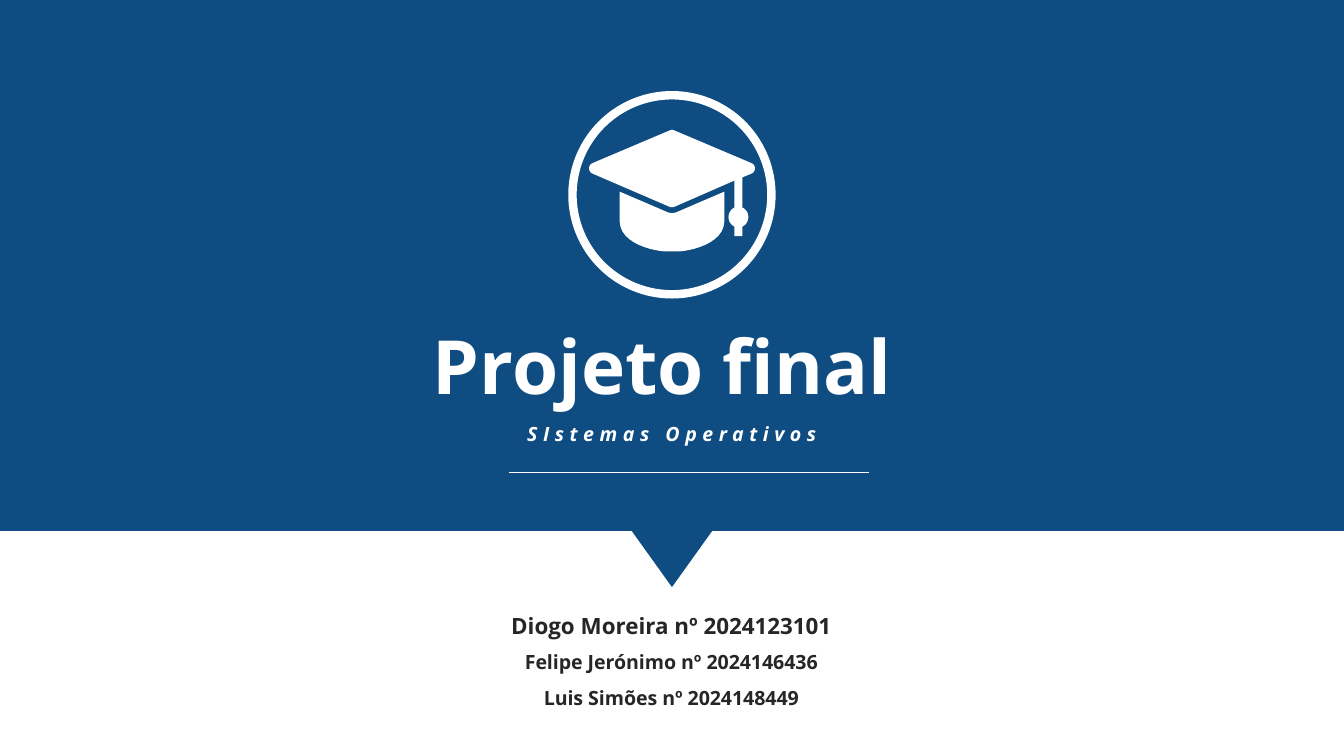
from dataclasses import dataclass

from lxml import etree
from pptx import Presentation
from pptx.dml.color import RGBColor
from pptx.enum.shapes import MSO_CONNECTOR, MSO_SHAPE
from pptx.enum.text import MSO_ANCHOR, MSO_AUTO_SIZE, PP_ALIGN
from pptx.oxml.ns import qn
from pptx.util import Cm, Pt

OVAL = MSO_SHAPE.OVAL
STRAIGHT = MSO_CONNECTOR.STRAIGHT
CENTER = PP_ALIGN.CENTER
TOP = MSO_ANCHOR.TOP
GROW = MSO_AUTO_SIZE.SHAPE_TO_FIT_TEXT


@dataclass(frozen=True)
class Theme:
    font: str = "Open Sans"
    blue: RGBColor = RGBColor(0x0F, 0x4C, 0x82)
    white: RGBColor = RGBColor(0xFF, 0xFF, 0xFF)
    dark: RGBColor = RGBColor(0x26, 0x26, 0x26)
    title: float = 40
    lead: float = 12
    small: float = 10.5


def bezier(p0, p1, p2, p3, steps=12):
    """Points along a cubic curve, without its start."""
    for i in range(1, steps + 1):
        t = i / steps
        u = 1 - t
        yield tuple(u**3 * a + 3 * u * u * t * b + 3 * u * t * t * c + t**3 * d
                    for a, b, c, d in zip(p0, p1, p2, p3))


def trace(start, *steps):
    """Outline points: a step is one point (line) or three (curve)."""
    points = [start]
    for step in steps:
        points += bezier(points[-1], *step) if len(step) == 3 else step
    return points


class Painter:
    def __init__(self, slide, theme):
        self.s, self.theme = slide, theme

    def text(self, box, lines, color, inset=0.05, wrap=True, spacing=None,
             italic=False, tracking=None):
        sp = self.s.shapes.add_textbox(*map(Cm, box))
        tf = sp.text_frame
        tf.text = "\n".join(line for line, _ in lines)
        tf.word_wrap, tf.auto_size, tf.vertical_anchor = wrap, GROW, TOP
        tf.margin_top = tf.margin_bottom = Cm(inset)
        for p, (_, size) in zip(tf.paragraphs, lines):
            p.alignment = CENTER
            if spacing:
                p.line_spacing = spacing
            for r in p.runs:
                f = r.font
                f.name, f.size, f.bold = self.theme.font, Pt(size), True
                f.italic = italic or None
                f.color.rgb = color
                if tracking:
                    r._r.get_or_add_rPr().set("spc", str(tracking * 100))

    def outline(self, contours, color, shapes=None):
        shapes = self.s.shapes if shapes is None else shapes
        contours = [[(Cm(x), Cm(y)) for x, y in c] for c in contours]
        builder = shapes.build_freeform(*contours[0][0])
        for i, contour in enumerate(contours):
            if i:
                builder.move_to(*contour[0])
            builder.add_line_segments(contour[1:], close=True)
        sp = builder.convert_to_shape()
        sp.shadow.inherit = False
        sp.fill.solid()
        sp.fill.fore_color.rgb = color
        sp.line.fill.background()

    def ring(self, box, fill, line, width, shapes):
        sp = shapes.add_shape(OVAL, *map(Cm, box))
        sp.shadow.inherit = False
        sp.fill.solid()
        sp.fill.fore_color.rgb = fill
        sp.line.color.rgb = line
        sp.line.width = Pt(width)

    def rule(self, x1, x2, y, color, width):
        sp = self.s.shapes.add_connector(STRAIGHT, Cm(x1), Cm(y), Cm(x2), Cm(y))
        sp.line.color.rgb = color
        sp.line.width = Pt(width)
        etree.SubElement(sp._element.spPr, qn("a:effectLst"))


def main():
    theme = Theme()
    prs = Presentation()
    prs.slide_width, prs.slide_height = Cm(25.4), Cm(14.28)
    art = Painter(prs.slides.add_slide(prs.slide_layouts[6]), theme)

    # Blue panel with a pointer at the bottom
    art.outline([[(0, 0), (25.4, 0), (25.4, 10.03), (13.46, 10.03),
                  (12.7, 11.09), (11.94, 10.03), (0, 10.03)]], theme.blue)

    # Title, subtitle and rule
    art.text((7.77, 5.99, 9.86, 1.96), [("Projeto final ", theme.title)],
             theme.white, wrap=False)
    art.text((4.47, 7.87, 16.46, 0.71), [("SIstemas Operativos", theme.small)],
             theme.white, inset=0.1, italic=True, tracking=3)
    art.rule(9.62, 16.42, 8.92, theme.white, 0.5)

    # Authors
    art.text((6.25, 11.25, 12.88, 2.36),
             [("Diogo Moreira nº 2024123101", theme.lead),
              ("Felipe Jerónimo nº 2024146436", theme.small),
              ("Luis Simões nº 2024148449", theme.small)],
             theme.dark, spacing=1.5)

    # Graduation cap in a ring
    badge = art.s.shapes.add_group_shape().shapes
    art.ring((10.82, 1.8, 3.76, 3.76), theme.blue, theme.white, 4.5, badge)
    board = trace(
        (14.2, 3.08), [(12.76, 2.47)],
        [(12.72, 2.45), (12.68, 2.45), (12.64, 2.47)], [(11.2, 3.08)],
        [(11.11, 3.12), (11.11, 3.24), (11.2, 3.28)], [(12.64, 3.9)],
        [(12.68, 3.92), (12.72, 3.92), (12.76, 3.9)],
        [(13.88, 3.41)], [(13.88, 3.92)],
        [(13.73, 3.99), (13.73, 4.21), (13.88, 4.28)],
        [(13.88, 4.46)], [(14.03, 4.46)], [(14.03, 4.28)],
        [(14.18, 4.21), (14.18, 3.99), (14.03, 3.92)],
        [(14.03, 3.35)], [(14.2, 3.28)],
        [(14.29, 3.24), (14.29, 3.12), (14.2, 3.08)])
    crown = trace(
        (12.78, 4.01), [(12.73, 4.03), (12.67, 4.03), (12.62, 4.01)],
        [(11.71, 3.62)], [(11.71, 4.17)],
        [(11.71, 4.62), (12.4, 4.75), (12.6, 4.75)], [(12.8, 4.75)],
        [(13.0, 4.75), (13.69, 4.62), (13.69, 4.17)], [(13.69, 3.62)])
    art.outline([board, crown], theme.white, badge)

    prs.save("out.pptx")


if __name__ == "__main__":
    main()
